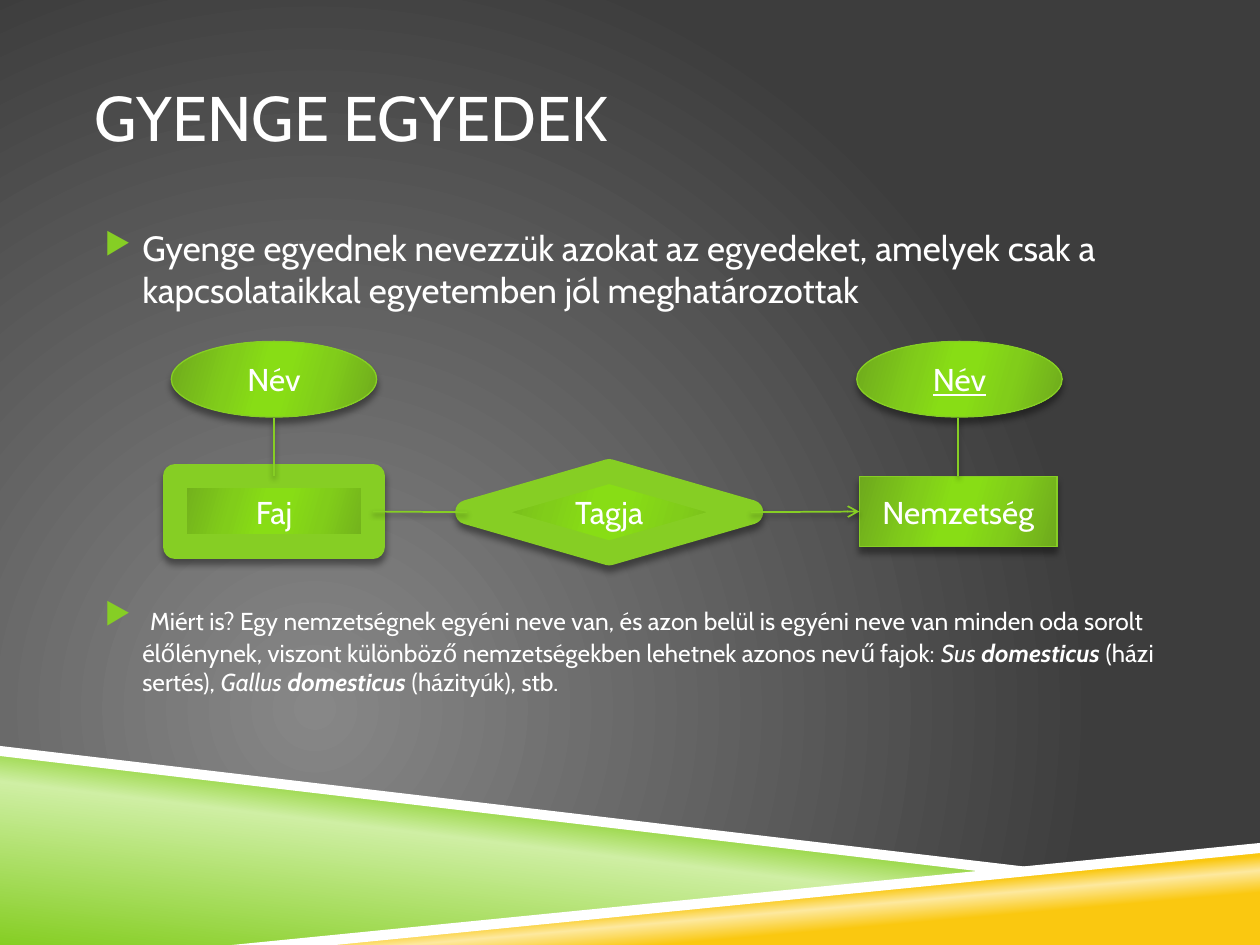
from typing import NamedTuple

from pptx import Presentation
from pptx.dml.color import RGBColor
from pptx.enum.shapes import MSO_CONNECTOR, MSO_SHAPE
from pptx.enum.text import MSO_ANCHOR, MSO_AUTO_SIZE, PP_ALIGN
from pptx.oxml import parse_xml
from pptx.oxml.ns import nsdecls, qn
from pptx.util import Inches, Pt

FONT = "Cabin"
COLORS = {
    "white": "FFFFFF", "black": "000000", "green": "86CE24",
    "light green": "CFEFA4", "dark green": "6EA91D", "mid green": "81CD1A",
    "bright green": "88DD15", "yellow": "FAC810", "light yellow": "FDE99F",
    "gray": "878787", "dark gray": "3D3D3D",
}
GLOSS = [(0, "dark green"), (30, "mid green"), (45, "bright green"),
         (55, "bright green"), (73, "mid green"), (100, "dark green")]
RADIAL = ('<a:path path="circle"><a:fillToRect l="50000" t="100000" '
          'r="100000" b="50000"/></a:path>')


class Band(NamedTuple):
    points: list
    stops: list | None = None
    angle: int = 0


class Node(NamedTuple):
    label: str
    preset: MSO_SHAPE
    left: float
    top: float
    width: float
    height: float
    line_width: float = 0.75
    underline: bool = False


class Phrase(NamedTuple):
    text: str
    size: int = 14
    italic: bool = False
    bold: bool = False


BANDS = [
    Band([(0, 5.97), (7.92, 6.92), (2, 7.5), (0, 7.5)],
         [(0, "green"), (52, "light green"), (66, "green")], 277),
    Band([(1.98, 7.5), (10, 6.72), (10, 7.5)],
         [(28, "yellow"), (40, "light yellow"), (48, "yellow")], 265),
    Band([(0, 5.92), (0, 6), (7.9, 6.93), (8.32, 6.9)]),
    Band([(10, 6.69), (1.84, 7.5), (2.66, 7.5), (10, 6.77)]),
]
NODES = {
    "genus name": Node("Név", MSO_SHAPE.OVAL, 6.8, 2.71, 1.63, 0.6, underline=True),
    "species": Node("Faj", MSO_SHAPE.RECTANGLE, 1.39, 3.78, 1.57, 0.56, 14),
    "genus": Node("Nemzetség", MSO_SHAPE.RECTANGLE, 6.82, 3.78, 1.57, 0.56),
    "member": Node("Tagja", MSO_SHAPE.DIAMOND, 3.71, 3.74, 2.25, 0.65, 14),
    "species name": Node("Név", MSO_SHAPE.OVAL, 1.36, 2.71, 1.63, 0.6),
}
DEFINITION = [Phrase("Gyenge egyednek nevezzük azokat az egyedeket, amelyek csak a "
                     "kapcsolataikkal egyetemben jól meghatározottak", 20)]
EXPLANATION = [
    Phrase(" ", 20),
    Phrase("Miért is? Egy nemzetségnek egyéni neve van, és azon belül is egyéni "
           "neve van minden oda sorolt élőlénynek, viszont különböző "
           "nemzetségekben lehetnek azonos nevű fajok: "),
    Phrase("Sus ", italic=True),
    Phrase("domesticus ", italic=True, bold=True),
    Phrase("(házi sertés), "),
    Phrase("Gallus ", italic=True),
    Phrase("domesticus ", italic=True, bold=True),
    Phrase("(házityúk), stb."),
]


def color(name: str) -> RGBColor:
    return RGBColor.from_string(COLORS[name])


def set_gradient(properties, stops: list, direction: str) -> None:
    """Swap the solid fill in a properties element for a gradient."""
    stop_xml = "".join(
        f'<a:gs pos="{position * 1000}"><a:srgbClr val="{COLORS[name]}"/></a:gs>'
        for position, name in stops)
    gradient = parse_xml(f'<a:gradFill {nsdecls("a")} rotWithShape="1">'
                         f'<a:gsLst>{stop_xml}</a:gsLst>{direction}</a:gradFill>')
    properties.replace(properties.find(qn("a:solidFill")), gradient)


def linear(angle: int) -> str:
    return f'<a:lin ang="{angle * 60000}" scaled="0"/>'


def add_shadow(properties, blur: float, distance: float) -> None:
    properties.append(parse_xml(
        f'<a:effectLst {nsdecls("a")}><a:outerShdw blurRad="{Pt(blur)}" '
        f'dist="{Pt(distance)}" dir="5400000" rotWithShape="0">'
        f'<a:srgbClr val="{COLORS["black"]}"><a:alpha val="40000"/></a:srgbClr>'
        '</a:outerShdw></a:effectLst>'))


def style_font(font, size: int) -> None:
    font.name = FONT
    font.size = Pt(size)
    font.color.rgb = color("white")


def draw_band(slide, band: Band) -> None:
    start, *others = [(Inches(x), Inches(y)) for x, y in band.points]
    builder = slide.shapes.build_freeform(*start, scale=1.0)
    builder.add_line_segments(others, close=True)
    shape = builder.convert_to_shape()
    shape.fill.solid()
    shape.fill.fore_color.rgb = color("white")
    shape.line.fill.background()
    shape.shadow.inherit = False
    if band.stops:
        set_gradient(shape.element.spPr, band.stops, linear(band.angle))


def draw_node(slide, node: Node):
    shape = slide.shapes.add_shape(node.preset, Inches(node.left), Inches(node.top),
                                   Inches(node.width), Inches(node.height))
    shape.fill.solid()
    set_gradient(shape.element.spPr, GLOSS, linear(16))
    shape.line.color.rgb = color("green")
    shape.line.width = Pt(node.line_width)
    add_shadow(shape.element.spPr, 4, 3.3)
    shape.text_frame.text = node.label
    shape.text_frame.vertical_anchor = MSO_ANCHOR.MIDDLE
    paragraph = shape.text_frame.paragraphs[0]
    paragraph.alignment = PP_ALIGN.CENTER
    font = paragraph.runs[0].font
    style_font(font, 18)
    if node.underline:
        font.underline = True
    return shape


def draw_link(slide, start, start_side: int, end=None, end_side: int = 0,
              end_point: tuple = (0, 0), arrow: bool = False) -> None:
    """Join two shapes, or a shape and a free point, at the given sides."""
    link = slide.shapes.add_connector(MSO_CONNECTOR.STRAIGHT, 0, 0, *end_point)
    link.begin_connect(start, start_side)
    if end is not None:
        link.end_connect(end, end_side)
    link.line.color.rgb = color("green")
    link.line.width = Pt(1)
    properties = link.element.spPr
    if arrow:
        properties.find(qn("a:ln")).append(
            parse_xml(f'<a:tailEnd {nsdecls("a")} type="arrow"/>'))
    add_shadow(properties, 3, 2)


def write_bullet(paragraph, phrases: list) -> None:
    properties = paragraph._p.get_or_add_pPr()
    properties.set("marL", str(Inches(0.38)))
    properties.set("indent", str(Inches(-0.3)))
    for xml in (f'<a:buClr {nsdecls("a")}><a:srgbClr val="{COLORS["green"]}"/></a:buClr>',
                f'<a:buSzPct {nsdecls("a")} val="85000"/>',
                f'<a:buChar {nsdecls("a")} char="▶"/>'):
        properties.append(parse_xml(xml))
    for phrase in phrases:
        run = paragraph.add_run()
        run.text = phrase.text
        style_font(run.font, phrase.size)
        run.font.italic = phrase.italic
        run.font.bold = phrase.bold


def place_frame(shape, left: float, top: float, width: float, height: float):
    shape.left, shape.top = Inches(left), Inches(top)
    shape.width, shape.height = Inches(width), Inches(height)
    frame = shape.text_frame
    frame.word_wrap = True
    frame.auto_size = MSO_AUTO_SIZE.NONE
    frame.margin_left = frame.margin_right = 0
    return frame


def main() -> None:
    presentation = Presentation()
    presentation.slide_width, presentation.slide_height = Inches(10), Inches(7.5)
    slide = presentation.slides.add_slide(presentation.slide_layouts[5])
    slide.background.fill.solid()
    set_gradient(slide.element.find(f'.//{qn("p:bgPr")}'),
                 [(0, "gray"), (100, "dark gray")], RADIAL)
    for band in BANDS:
        draw_band(slide, band)

    title = place_frame(slide.shapes.title, 0.75, 0.3, 8.5, 1.25)
    title.text = "GYENGE EGYEDEK"
    title.vertical_anchor = MSO_ANCHOR.MIDDLE
    title.paragraphs[0].alignment = PP_ALIGN.LEFT
    style_font(title.paragraphs[0].runs[0].font, 36)

    body = place_frame(slide.shapes.add_textbox(0, 0, 0, 0), 0.75, 1.75, 8.5, 4.08)
    write_bullet(body.paragraphs[0], DEFINITION)
    explanation = body.add_paragraph()
    explanation.space_before = Pt(163)
    write_bullet(explanation, EXPLANATION)

    drawn = {key: draw_node(slide, node) for key, node in NODES.items()}
    for entity in (drawn["species"], drawn["genus"]):
        name_foot = (entity.left + entity.width // 2, Inches(3.32))
        draw_link(slide, entity, 0, end_point=name_foot)
    draw_link(slide, drawn["member"], 1, drawn["species"], 3)
    draw_link(slide, drawn["member"], 3, drawn["genus"], 1, arrow=True)

    presentation.save("out.pptx")


if __name__ == "__main__":
    main()
